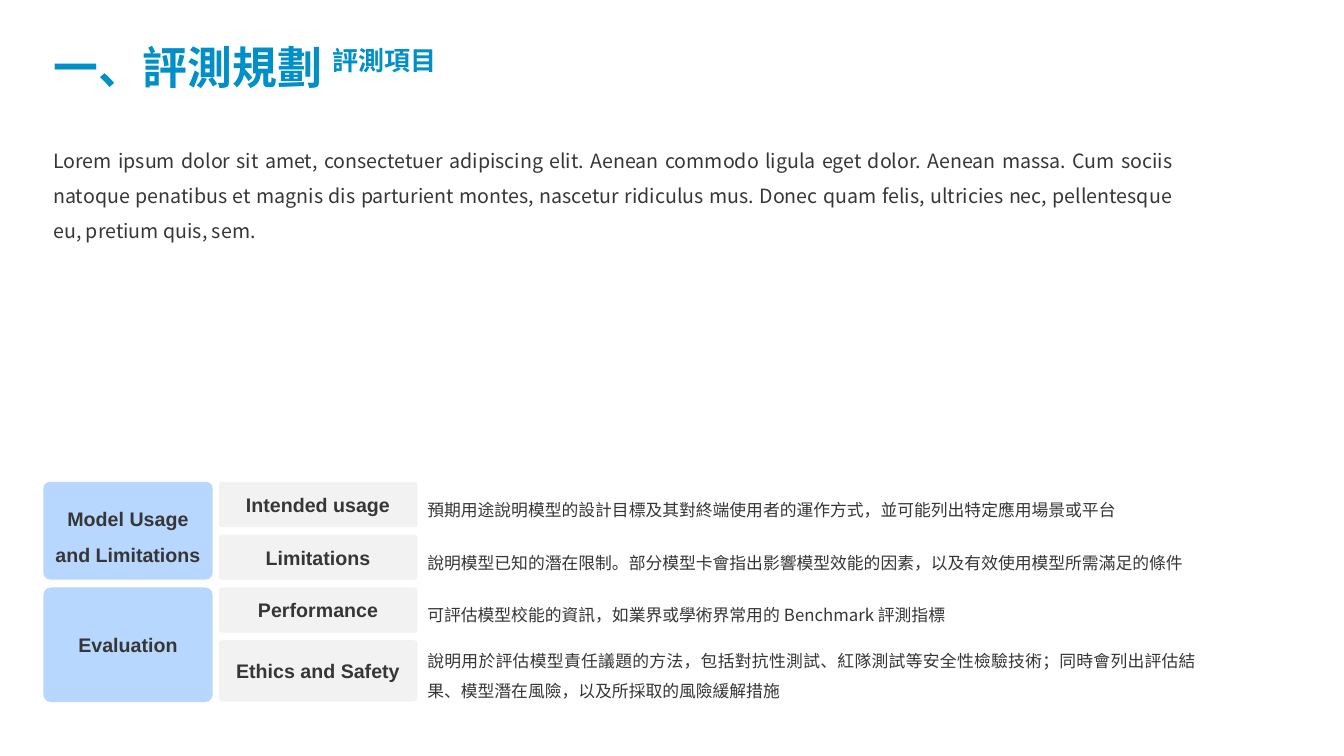
from pptx import Presentation
from pptx.dml.color import RGBColor
from pptx.enum.shapes import MSO_SHAPE as Shape
from pptx.enum.text import MSO_ANCHOR as Anchor, MSO_AUTO_SIZE as AutoSize, PP_ALIGN as Align
from pptx.oxml.ns import qn
from pptx.util import Inches, Pt
from lxml.etree import SubElement

CJK_FONT, LABEL_FONT = "Noto Sans CJK SC", "Arial"
BLUE, DARK, GREY, PALE_BLUE = "008FC7", "363636", "F2F2F2", "B7D7FE"

LEFT, WIDTH = 0.43, 11.31
ITEM_LEFT, ITEM_WIDTH = 2.17, 1.97
DETAIL_LEFT, DETAIL_WIDTH = 4.14, 7.83
TOP, PITCH = 4.78, 1.57 / 3
CATEGORY_WIDTH = 1.68

INTRO = (
    "Lorem ipsum dolor sit amet, consectetuer adipiscing elit. Aenean commodo ligula "
    "eget dolor. Aenean massa. Cum sociis natoque penatibus et magnis dis parturient "
    "montes, nascetur ridiculus mus. Donec quam felis, ultricies nec, pellentesque eu, "
    "pretium quis, sem."
)
# Item, height, explanation
ITEMS = [
    ("Intended usage", 0.45,
     "預期用途說明模型的設計目標及其對終端使用者的運作方式，並可能列出特定應用場景或平台"),
    ("Limitations", 0.45,
     "說明模型已知的潛在限制。部分模型卡會指出影響模型效能的因素，以及有效使用模型所需滿足的條件"),
    ("Performance", 0.45,
     "可評估模型校能的資訊，如業界或學術界常用的 Benchmark 評測指標"),
    ("Ethics and Safety", 0.61,
     "說明用於評估模型責任議題的方法，包括對抗性測試、紅隊測試等安全性檢驗技術；"
     "同時會列出評估結果、模型潛在風險，以及所採取的風險緩解措施"),
]
# Category, first item row, height, line spacing
CATEGORIES = [
    ("Model Usage and Limitations", 0, 0.97, 1.5),
    ("Evaluation", 2, 1.14, None),
]


def color(hex_code):
    return RGBColor.from_string(hex_code)


def write(paragraph, text, *, size, font=CJK_FONT, ink=DARK, bold=False,
          align=None, spacing=None, baseline=None):
    """Add one formatted run to a paragraph."""
    run = paragraph.add_run()
    run.text = text
    run.font.size = Pt(size)
    run.font.name = font
    run.font.bold = bold
    run.font.color.rgb = color(ink)
    properties = run.font._element
    SubElement(properties, qn("a:ea")).set("typeface", font)
    if baseline is not None:
        properties.set("baseline", str(baseline * 1000))
    if align is not None:
        paragraph.alignment = align
    if spacing is not None:
        paragraph.line_spacing = spacing


def add_text(shapes, left, top, width, height, anchor=Anchor.MIDDLE):
    """Add a wrapping text box and return its frame."""
    frame = shapes.add_textbox(
        Inches(left), Inches(top), Inches(width), Inches(height)).text_frame
    frame.word_wrap = True
    frame.vertical_anchor = anchor
    return frame


def add_label(shapes, text, left, top, width, height, fill, spacing=None):
    """Add a rounded box with a bold centred label."""
    label = shapes.add_shape(Shape.ROUNDED_RECTANGLE, Inches(left), Inches(top),
                             Inches(width), Inches(height))
    label.adjustments[0] = 0.07
    label.shadow.inherit = False
    label.fill.solid()
    label.fill.fore_color.rgb = color(fill)
    label.line.fill.background()
    frame = label.text_frame
    frame.word_wrap = True
    frame.vertical_anchor = Anchor.MIDDLE
    write(frame.paragraphs[0], text, size=14, font=LABEL_FONT, bold=True,
          align=Align.CENTER, spacing=spacing)


def add_item(shapes, row, name, height, explanation):
    """Add a grouped row: item label and its explanation."""
    members = shapes.add_group_shape().shapes
    top = TOP + row * PITCH
    add_label(members, name, ITEM_LEFT, top, ITEM_WIDTH, height, GREY)
    detail = add_text(members, DETAIL_LEFT, top, DETAIL_WIDTH, height)
    write(detail.paragraphs[0], explanation, size=12, align=Align.JUSTIFY, spacing=1.5)


def main():
    deck = Presentation()
    deck.slide_width, deck.slide_height = Inches(13.33), Inches(7.5)
    shapes = deck.slides.add_slide(deck.slide_layouts[6]).shapes

    # Heading with raised subtitle
    heading = add_text(shapes, LEFT, 0.33, WIDTH, 0.72).paragraphs[0]
    write(heading, "一、評測規劃 ", size=32, ink=BLUE, bold=True, spacing=0.9)
    write(heading, "評測項目", size=32, ink=BLUE, bold=True, baseline=30)

    # Introduction
    intro = add_text(shapes, LEFT, 1.31, WIDTH, 1.12, anchor=Anchor.TOP)
    intro.auto_size = AutoSize.SHAPE_TO_FIT_TEXT
    write(intro.paragraphs[0], INTRO, size=14, align=Align.JUSTIFY, spacing=1.5)

    # Evaluation items
    for row, item in enumerate(ITEMS):
        add_item(shapes, row, *item)

    # Categories spanning the items
    for name, first_row, height, spacing in CATEGORIES:
        add_label(shapes, name, LEFT, TOP + first_row * PITCH, CATEGORY_WIDTH,
                  height, PALE_BLUE, spacing)

    deck.save("out.pptx")


if __name__ == "__main__":
    main()
